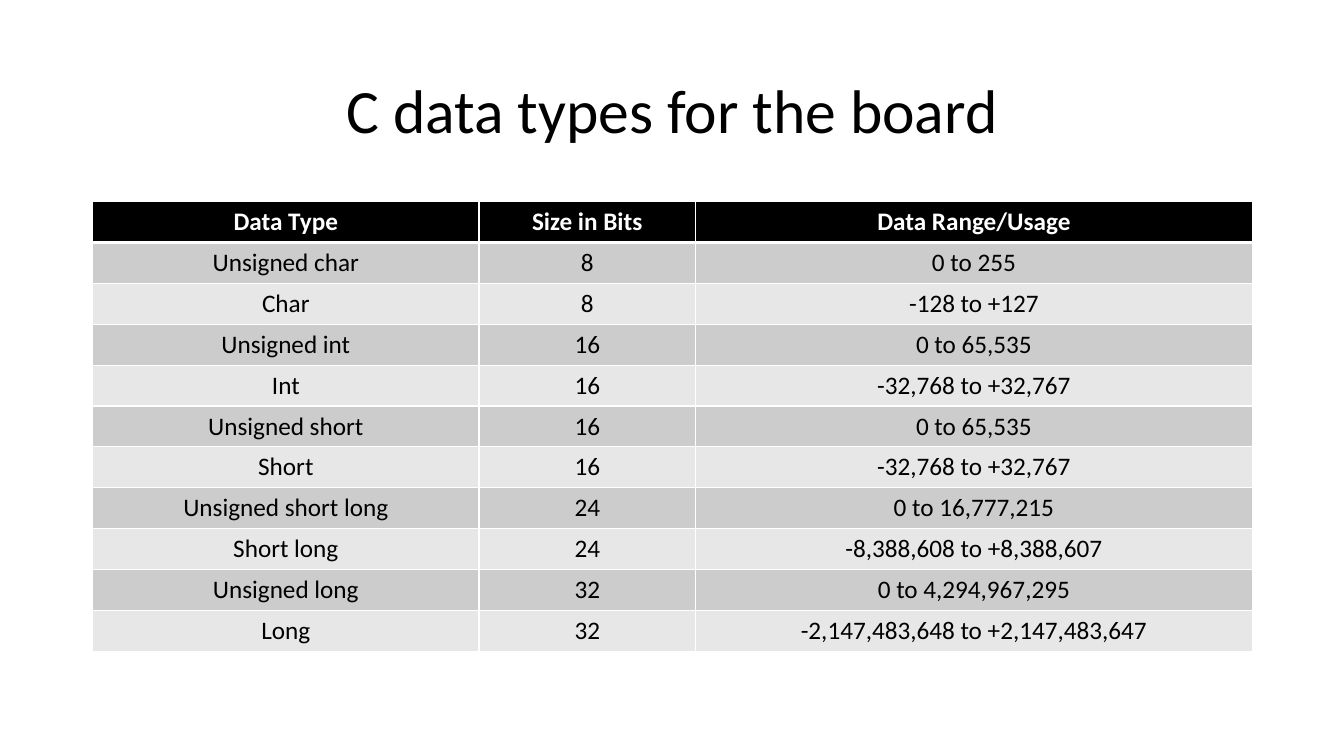
import pptx
import pptx.dml.color
import pptx.enum.text
import pptx.util
from lxml import etree
from pptx.oxml.ns import qn

Inches, Pt = pptx.util.Inches, pptx.util.Pt
RGBColor = pptx.dml.color.RGBColor
CENTER = pptx.enum.text.PP_ALIGN.CENTER
MIDDLE = pptx.enum.text.MSO_ANCHOR.MIDDLE

# Content
TITLE = "C data types for the board"
ROWS = [
    ("Data Type", "Size in Bits", "Data Range/Usage"),
    ("Unsigned char", "8", "0 to 255"),
    ("Char", "8", "-128 to +127"),
    ("Unsigned int", "16", "0 to 65,535"),
    ("Int", "16", "-32,768 to +32,767"),
    ("Unsigned short", "16", "0 to 65,535"),
    ("Short", "16", "-32,768 to +32,767"),
    ("Unsigned short long", "24", "0 to 16,777,215"),
    ("Short long", "24", "-8,388,608 to +8,388,607"),
    ("Unsigned long", "32", "0 to 4,294,967,295"),
    ("Long", "32", "-2,147,483,648 to +2,147,483,647"),
]

# Style
FONT = "Calibri"
BLACK = RGBColor(0x00, 0x00, 0x00)
WHITE = RGBColor(0xFF, 0xFF, 0xFF)
BANDS = (RGBColor(0xE7, 0xE7, 0xE7), RGBColor(0xCC, 0xCC, 0xCC))
LEFT, WIDTH = Inches(0.92), Inches(11.5)
TABLE_TOP, TABLE_HEIGHT = Inches(2), Inches(4.46)
COL_WIDTHS = (3.83, 2.15, 5.52)


def format_paragraph(p, size, color, bold=False):
    p.alignment = CENTER
    p.font.name = FONT
    p.font.size = Pt(size)
    p.font.bold = bold
    p.font.color.rgb = color


def add_borders(cell, top, bottom):
    tcPr = cell._tc.get_or_add_tcPr()
    for side, points in (("L", 1), ("R", 1), ("T", top), ("B", bottom)):
        ln = etree.SubElement(tcPr, qn("a:ln" + side), w=str(Pt(points)))
        fill = etree.SubElement(ln, qn("a:solidFill"))
        etree.SubElement(fill, qn("a:srgbClr"), val=str(WHITE))


prs = pptx.Presentation()
prs.slide_width, prs.slide_height = Inches(13.33), Inches(7.5)
s = prs.slides.add_slide(prs.slide_layouts[5])

# Title
title = s.shapes.title
title.left, title.top, title.width, title.height = LEFT, Inches(0.4), WIDTH, Inches(1.45)
tf = title.text_frame
tf.text = TITLE
tf.vertical_anchor = MIDDLE
tf.paragraphs[0].line_spacing = 0.9
format_paragraph(tf.paragraphs[0], 44, BLACK)

# Table
table = s.shapes.add_table(len(ROWS), len(COL_WIDTHS), LEFT, TABLE_TOP,
                           WIDTH, TABLE_HEIGHT).table
for column, width in zip(table.columns, COL_WIDTHS):
    column.width = Inches(width)

for i, row in enumerate(ROWS):
    header = i == 0
    for j, text in enumerate(row):
        cell = table.cell(i, j)
        cell.text = text
        format_paragraph(cell.text_frame.paragraphs[0], 18,
                         WHITE if header else BLACK, header)
        add_borders(cell, top=3 if i == 1 else 1, bottom=3 if header else 1)
        cell.fill.solid()
        cell.fill.fore_color.rgb = BLACK if header else BANDS[i % 2]

prs.save("out.pptx")
